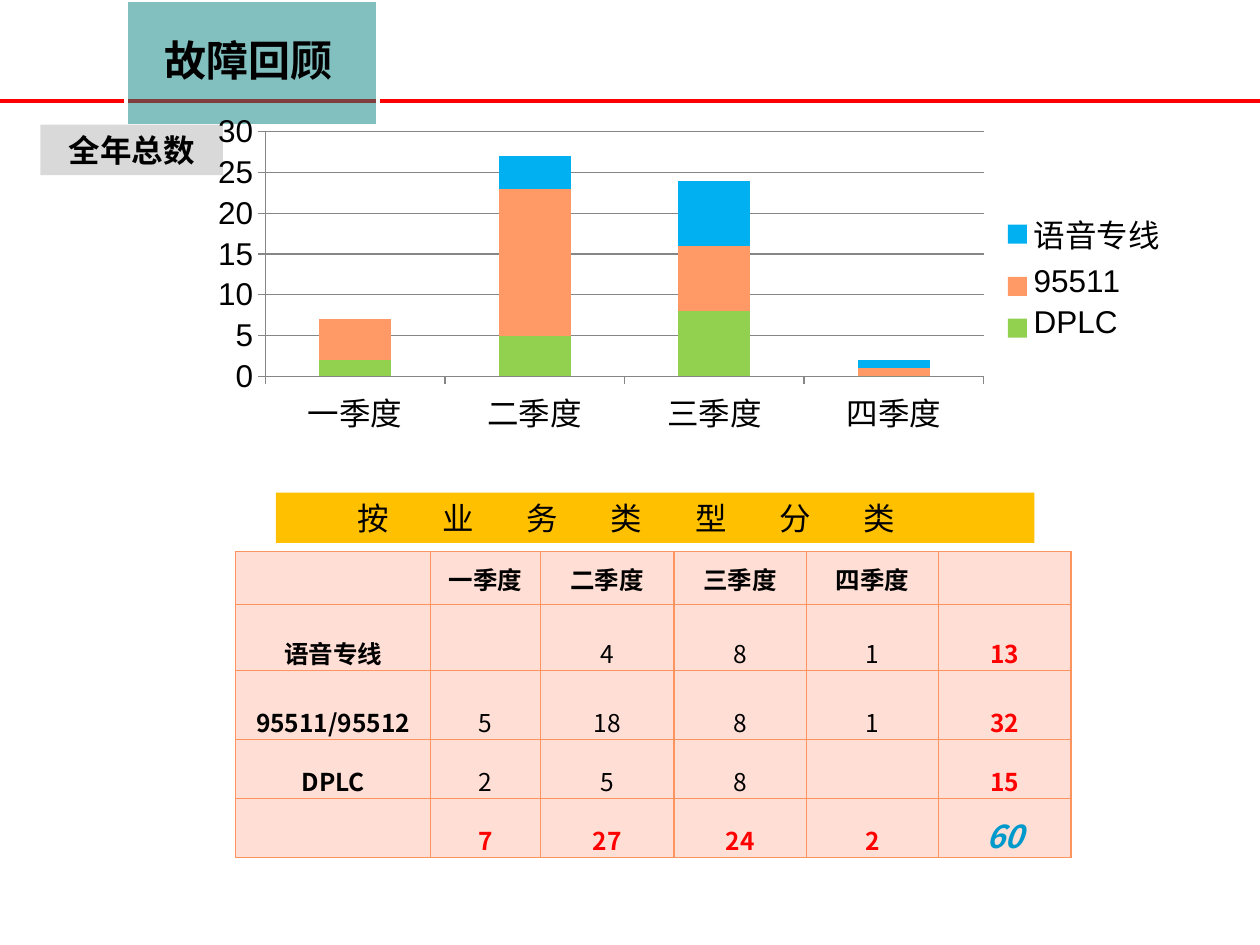
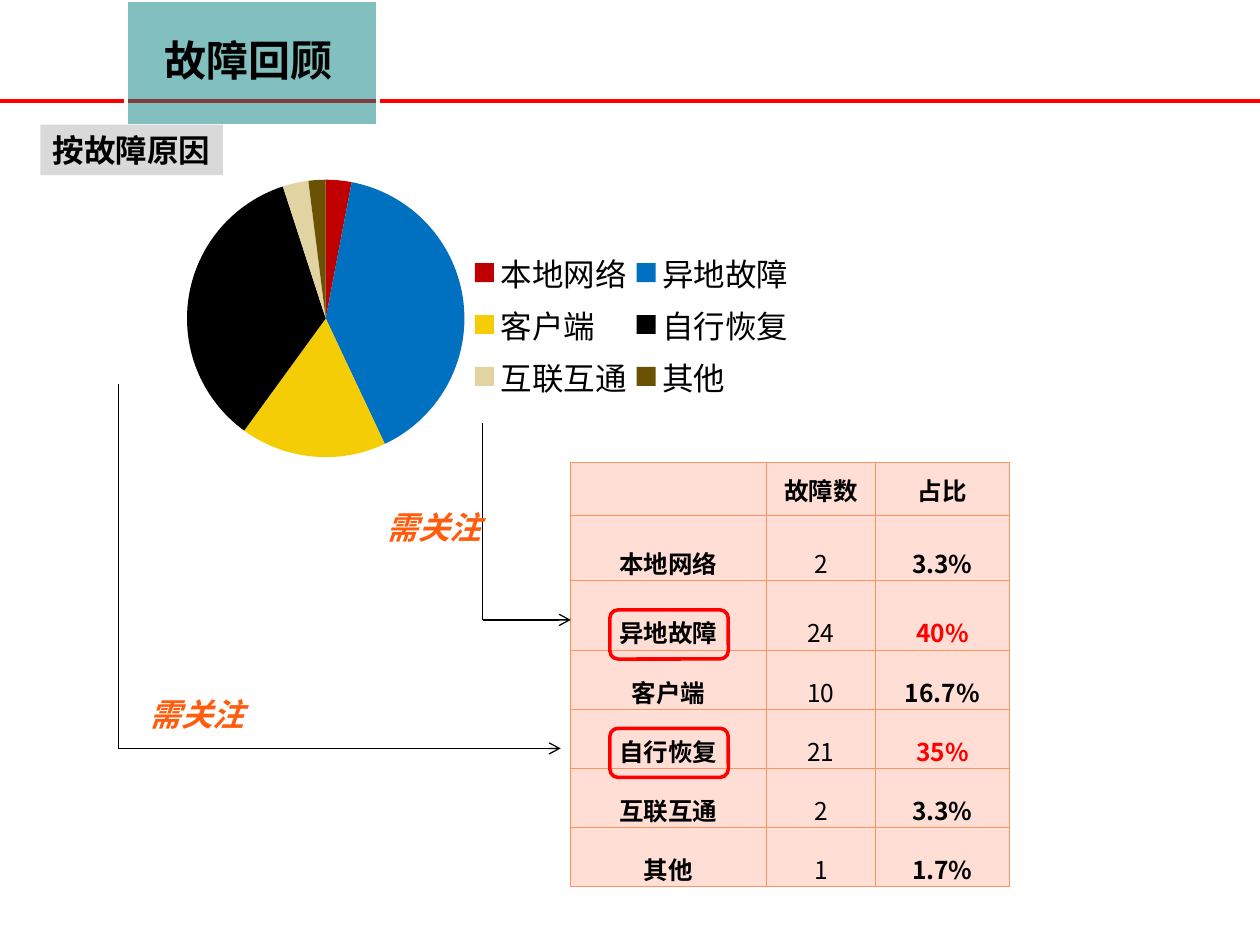
from pptx import Presentation
from pptx.chart.data import CategoryChartData
from pptx.dml.color import RGBColor
from pptx.enum.chart import XL_CHART_TYPE, XL_LEGEND_POSITION, XL_TICK_MARK
from pptx.enum.shapes import MSO_CONNECTOR, MSO_SHAPE
from pptx.enum.text import MSO_ANCHOR, PP_ALIGN
from pptx.oxml import parse_xml
from pptx.oxml.ns import nsdecls, qn
from pptx.util import Inches, Pt
from lxml import etree

STRAIGHT = MSO_CONNECTOR.STRAIGHT
RECTANGLE, ROUNDED = MSO_SHAPE.RECTANGLE, MSO_SHAPE.ROUNDED_RECTANGLE
CENTER, LEFT = PP_ALIGN.CENTER, PP_ALIGN.LEFT
MIDDLE, BOTTOM = MSO_ANCHOR.MIDDLE, MSO_ANCHOR.BOTTOM
STACKED, PIE = XL_CHART_TYPE.COLUMN_STACKED, XL_CHART_TYPE.PIE
LEGEND_RIGHT = XL_LEGEND_POSITION.RIGHT
TICK_OUTSIDE = XL_TICK_MARK.OUTSIDE

BLACK = RGBColor(0x00, 0x00, 0x00)
WHITE = RGBColor(0xFF, 0xFF, 0xFF)
RED = RGBColor(0xFF, 0x00, 0x00)
TEAL = RGBColor(0x00, 0x80, 0x80)
GRAY = RGBColor(0xD9, 0xD9, 0xD9)
AXIS_GRAY = RGBColor(0x86, 0x86, 0x86)
AMBER = RGBColor(0xFF, 0xC0, 0x00)
ORANGE = RGBColor(0xFF, 0x5D, 0x0D)
TOTAL_BLUE = RGBColor(0x00, 0x99, 0xCC)
CELL_PINK = RGBColor(0xFF, 0xDF, 0xD5)
CELL_BORDER = RGBColor(0xFD, 0x94, 0x60)
SERIES_COLORS = [RGBColor(0x92, 0xD0, 0x50), RGBColor(0xFF, 0x99, 0x66),
                 RGBColor(0x00, 0xB0, 0xF0)]
CAUSE_COLORS = [RGBColor(0xC0, 0x00, 0x00), RGBColor(0x00, 0x70, 0xC0),
                RGBColor(0xF5, 0xCD, 0x06), BLACK,
                RGBColor(0xE2, 0xD3, 0xA2), RGBColor(0x69, 0x52, 0x03)]
CJK_FONT, CHART_FONT = "Noto Sans CJK SC", "Arial"

QUARTERS = ["一季度", "二季度", "三季度", "四季度"]
FAULTS = {"DPLC": [2, 5, 8, 0], "95511": [5, 18, 8, 1], "语音专线": [0, 4, 8, 1]}
CAUSES = {"本地网络": 3, "异地故障": 40, "客户端": 17,
          "自行恢复": 35, "互联互通": 3, "其他": 2}
TYPE_ROWS = [
    ["", *QUARTERS, ""],
    ["语音专线", "", "4", "8", "1", "13"],
    ["95511/95512", "5", "18", "8", "1", "32"],
    ["DPLC", "2", "5", "8", "", "15"],
    ["", "7", "27", "24", "2", "60"],
]
CAUSE_ROWS = [
    ["", "故障数", "占比"],
    ["本地网络", "2", "3.3%"],
    ["异地故障", "24", "40%"],
    ["客户端", "10", "16.7%"],
    ["自行恢复", "21", "35%"],
    ["互联互通", "2", "3.3%"],
    ["其他", "1", "1.7%"],
]
RED_TEXTS = {"13", "32", "15", "7", "27", "24", "40%", "35%"}


def write(frame, text, size, color=BLACK, bold=False, italic=False, align=CENTER):
    """Fill a text frame with one paragraph and return the paragraph."""
    paragraph = frame.paragraphs[0]
    run = paragraph.add_run()
    run.text = text
    paragraph.alignment = align
    font = run.font
    font.name, font.size, font.bold, font.italic = CJK_FONT, Pt(size), bold, italic
    font.color.rgb = color
    etree.SubElement(run._r.get_or_add_rPr(), qn("a:ea"), typeface=CJK_FONT)
    return paragraph


def add_line(slide, x1, y1, x2, y2, color=BLACK, width=0.75, arrow=False):
    line = slide.shapes.add_connector(
        STRAIGHT, Inches(x1), Inches(y1), Inches(x2), Inches(y2))
    line.line.color.rgb = color
    line.line.width = Pt(width)
    if arrow:
        etree.SubElement(line.line._get_or_add_ln(), qn("a:tailEnd"), type="arrow")
    etree.SubElement(line._element.spPr, qn("a:effectLst"))


presentation = Presentation()
presentation.slide_width, presentation.slide_height = Inches(10), Inches(7.5)

# Shared header: red rule, title pointer and gray section label
slides = []
for section in ["全年总数", "按故障原因"]:
    slide = presentation.slides.add_slide(presentation.slide_layouts[6])
    slides.append(slide)
    add_line(slide, 0, 0.8, 10, 0.8, RED, 2)

    builder = slide.shapes.build_freeform(0.98, 0.1, scale=Inches(1))
    builder.add_line_segments([(2.57, 0.1), (2.87, 0.42), (2.57, 0.73), (0.98, 0.73)])
    title = builder.convert_to_shape()
    title.shadow.inherit = False
    title.fill.solid()
    title.fill.fore_color.rgb = TEAL
    title_color = title._element.spPr.find(qn("a:solidFill"))[0]
    etree.SubElement(title_color, qn("a:alpha"), val="49000")
    title.line.color.rgb = WHITE
    title.line.width = Pt(2)
    frame = title.text_frame
    frame.margin_left, frame.margin_right = Inches(0.14), Inches(0.19)
    frame.margin_top = frame.margin_bottom = Inches(0.07)
    frame.vertical_anchor = MIDDLE
    write(frame, "故障回顾", 24, bold=True).line_spacing = 0.9

    label = slide.shapes.add_shape(
        RECTANGLE, Inches(0.32), Inches(0.99), Inches(1.45), Inches(0.4))
    label.shadow.inherit = False
    label.fill.solid()
    label.fill.fore_color.rgb = GRAY
    label.line.fill.background()
    write(label.text_frame, section, 18, bold=True)
quarter_slide, cause_slide = slides

# Charts
fault_data = CategoryChartData()
fault_data.categories = QUARTERS
for name, values in FAULTS.items():
    fault_data.add_series(name, values)
cause_data = CategoryChartData()
cause_data.categories = list(CAUSES)
cause_data.add_series("占比", list(CAUSES.values()))

fault_chart = quarter_slide.shapes.add_chart(
    STACKED, Inches(1.56), Inches(0.86), Inches(7.81), Inches(2.66), fault_data).chart
cause_chart = cause_slide.shapes.add_chart(
    PIE, Inches(0.31), Inches(1.33), Inches(6.15), Inches(2.42), cause_data).chart

for chart in (fault_chart, cause_chart):
    chart.has_title = False
    chart.has_legend = True
    chart.legend.position = LEGEND_RIGHT
    chart.legend.include_in_layout = False
    chart.font.name, chart.font.size = CHART_FONT, Pt(18)
    chart.font.color.rgb = BLACK
    chart._chartSpace.find(qn("c:txPr")).addprevious(parse_xml(
        f'<c:spPr {nsdecls("c", "a")}><a:noFill/><a:ln><a:noFill/></a:ln></c:spPr>'))

fault_plot = fault_chart.plots[0]
fault_plot.overlap, fault_plot.gap_width = 100, 150
fault_plot.vary_by_categories = False
for series, color in zip(fault_plot.series, SERIES_COLORS):
    series.format.fill.solid()
    series.format.fill.fore_color.rgb = color
value_axis = fault_chart.value_axis
value_axis.minimum_scale, value_axis.maximum_scale, value_axis.major_unit = 0, 30, 5
value_axis.has_major_gridlines = True
value_axis.major_gridlines.format.line.color.rgb = AXIS_GRAY
for axis in (fault_chart.category_axis, value_axis):
    axis.major_tick_mark = TICK_OUTSIDE
    axis.format.line.color.rgb = AXIS_GRAY

cause_plot = cause_chart.plots[0]
cause_plot.vary_by_categories = True
for index, color in enumerate(CAUSE_COLORS):
    fill = cause_plot.series[0].points[index].format.fill
    fill.solid()
    fill.fore_color.rgb = color

# Fixed places of plot areas and legend, as shares of the chart
for chart, tag, place in [
    (fault_chart, "c:plotArea", (0.07, 0.07, 0.73, 0.73)),
    (cause_chart, "c:plotArea", (0, 0.04, 0.74, 0.91)),
    (cause_chart, "c:legend", (0.55, 0.25, 0.43, 0.53)),
]:
    part = next(chart._chartSpace.iter(qn(tag)))
    for old_layout in part.findall(qn("c:layout")):
        part.remove(old_layout)
    inner = '<c:layoutTarget val="inner"/>' if tag == "c:plotArea" else ""
    modes = '<c:xMode val="edge"/><c:yMode val="edge"/>'
    sizes = "".join(f'<c:{key} val="{share}"/>' for key, share in zip("xywh", place))
    layout = parse_xml(f'<c:layout {nsdecls("c")}><c:manualLayout>{inner}{modes}{sizes}'
                       '</c:manualLayout></c:layout>')
    part.insert(0 if inner else 1, layout)

# Tables
COLUMN_WIDTHS = [1.55, 0.87, 1.06, 1.05, 1.05, 1.05]
ROW_HEIGHTS = [0.42, 0.52, 0.55, 0.47, 0.47, 0.47, 0.47]
for slide, left, top, rows in [(quarter_slide, 1.87, 4.38, TYPE_ROWS),
                               (cause_slide, 4.53, 3.67, CAUSE_ROWS)]:
    widths, heights = COLUMN_WIDTHS[:len(rows[0])], ROW_HEIGHTS[:len(rows)]
    table = slide.shapes.add_table(
        len(rows), len(widths), Inches(left), Inches(top),
        Inches(sum(widths)), Inches(sum(heights))).table
    table.first_row = table.horz_banding = False
    for column, width in zip(table.columns, widths):
        column.width = Inches(width)
    for row_index, (row, height) in enumerate(zip(rows, heights)):
        table.rows[row_index].height = Inches(height)
        for column_index, text in enumerate(row):
            cell = table.cell(row_index, column_index)
            cell.margin_left = cell.margin_right = cell.margin_top = Inches(0.01)
            cell.margin_bottom = 0
            cell.vertical_anchor = BOTTOM if row_index else MIDDLE
            cell.fill.solid()
            cell.fill.fore_color.rgb = CELL_PINK
            properties = cell._tc.get_or_add_tcPr()
            for position, side in enumerate(["lnL", "lnR", "lnT", "lnB"]):
                properties.insert(position, parse_xml(
                    f'<a:{side} {nsdecls("a")} w="9525"><a:solidFill>'
                    f'<a:srgbClr val="{CELL_BORDER}"/></a:solidFill></a:{side}>'))
            if not text:
                continue
            grand_total = text == "60"
            highlighted = text in RED_TEXTS and (
                column_index == len(row) - 1 or row_index == len(rows) - 1)
            if slide is quarter_slide and text == "2" and row_index == len(rows) - 1:
                highlighted = True
            bold = (row_index == 0 or column_index == 0 or highlighted
                    or grand_total or text.endswith("%"))
            color = TOTAL_BLUE if grand_total else RED if highlighted else BLACK
            write(cell.text_frame, text, 18 if grand_total else 14,
                  color, bold, grand_total)

# Banner above the quarterly table
banner = quarter_slide.shapes.add_shape(
    RECTANGLE, Inches(2.19), Inches(3.91), Inches(6.02), Inches(0.4))
banner.shadow.inherit = False
banner.fill.solid()
banner.fill.fore_color.rgb = AMBER
banner.line.fill.background()
banner.text_frame.margin_left = Inches(0.65)
banner_text = write(banner.text_frame, "按 业 务 类 型 分 类", 18, align=LEFT)
banner_text.runs[0]._r.get_or_add_rPr().set("spc", "1310")

# Two causes that need attention: leader, arrow, frame and note
for x, y_start, y_arrow, x_end, frame_top, note_left, note_top in [
    (0.94, 3.05, 5.94, 4.45, 5.78, 1.09, 5.47),
    (3.83, 3.36, 4.92, 4.53, 4.84, 2.97, 3.98),
]:
    add_line(cause_slide, x, y_start, x, y_arrow)
    add_line(cause_slide, x, y_arrow, x_end, y_arrow, arrow=True)
    highlight = cause_slide.shapes.add_shape(
        ROUNDED, Inches(4.84), Inches(frame_top), Inches(0.94), Inches(0.39))
    highlight.shadow.inherit = False
    highlight.fill.background()
    highlight.line.color.rgb = RED
    highlight.line.width = Pt(2)
    note = cause_slide.shapes.add_textbox(
        Inches(note_left), Inches(note_top), Inches(1.17), Inches(0.4))
    note.text_frame.word_wrap = True
    write(note.text_frame, "需关注", 18, ORANGE, True, True, LEFT)

presentation.save("out.pptx")
